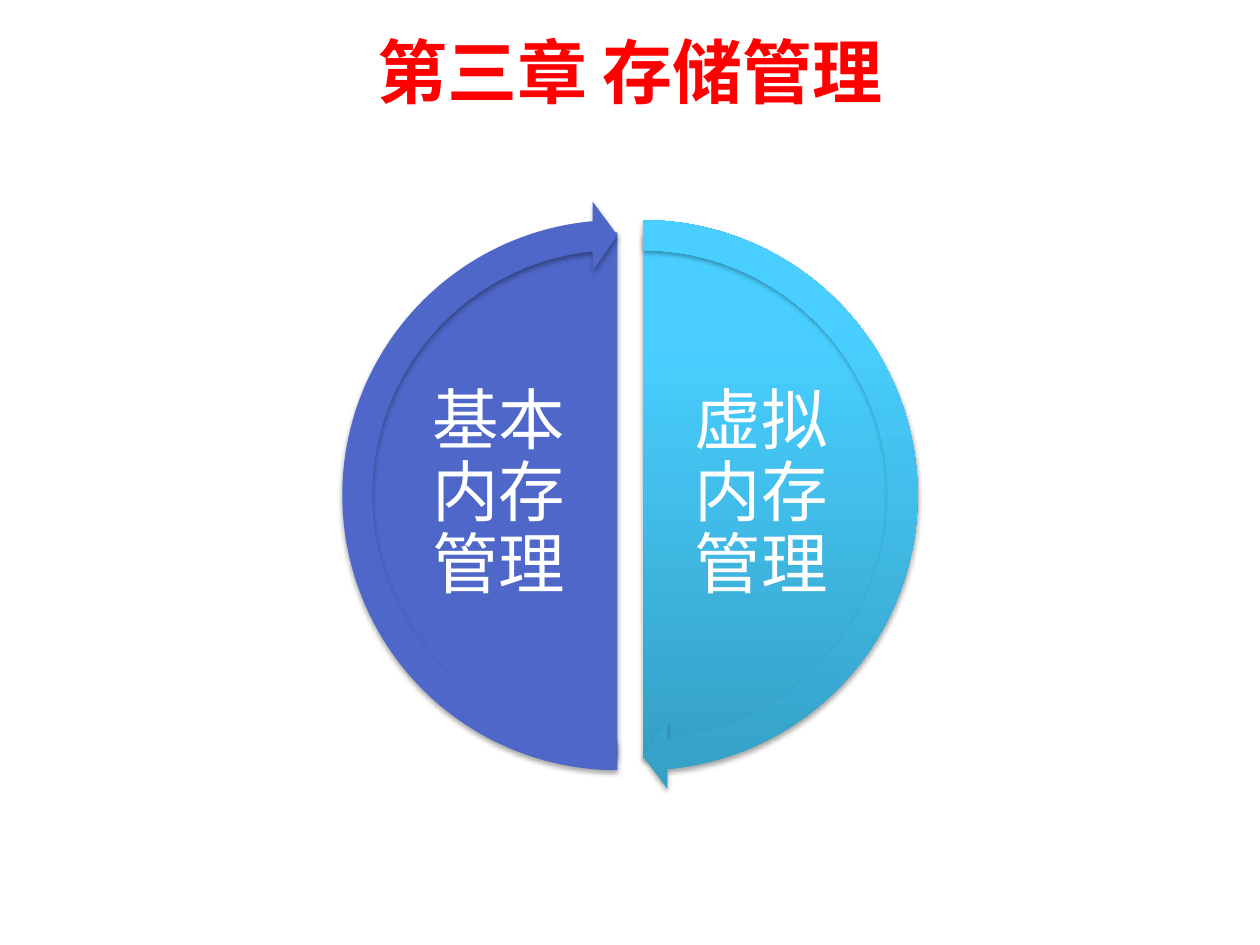
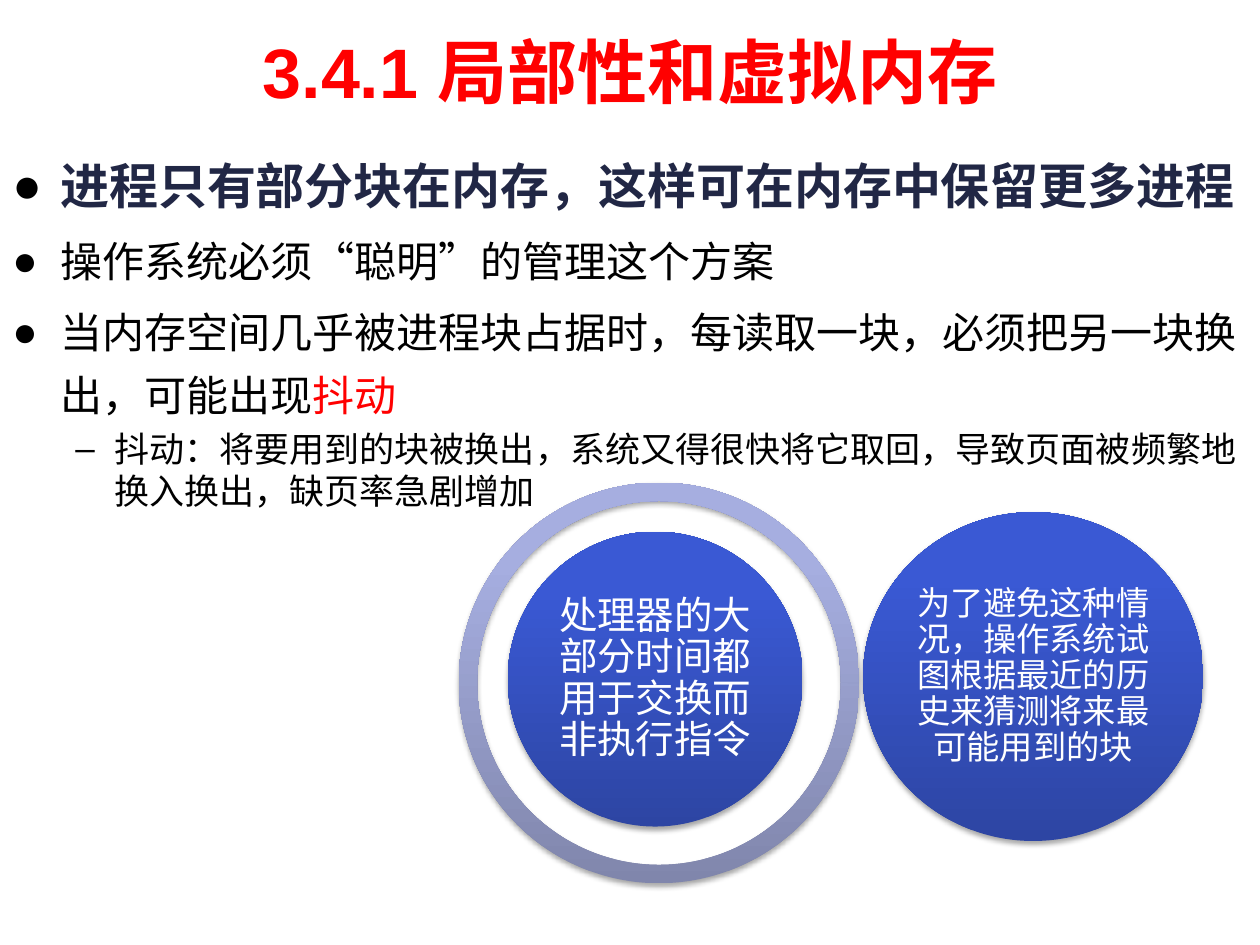
"""Build two slides on storage management: chapter overview and locality with virtual memory."""
from dataclasses import dataclass
from math import sqrt

from lxml.etree import SubElement
from pptx import Presentation
from pptx.dml.color import RGBColor
from pptx.enum.shapes import MSO_SHAPE
from pptx.enum.text import MSO_ANCHOR, PP_ALIGN
from pptx.oxml.ns import qn
from pptx.util import Inches, Pt


@dataclass(frozen=True)
class Theme:
    latin: str = "Arial"
    body: str = "Calibri"
    chinese: str = "Noto Sans CJK SC"
    title: str = "FF0000"
    accent: str = "FF0000"
    lead: str = "212745"
    text: str = "000000"
    inverse: str = "FFFFFF"
    indigo: tuple = ("4E67C8",)
    sky: tuple = ("35A0C6", "48CFFF", "49CFFF")
    royal: tuple = ("2D45A3", "3A59D4", "3758D7")
    lavender: tuple = ("8086AC", "A6AEE0", "A6AEE2")
    stops: tuple = (0, 80, 100)
    title_size: int = 40
    half_size: int = 38
    lead_size: int = 28
    point_size: int = 24
    detail_size: int = 20


THEME = Theme()

CHAPTER_TITLE = "第三章 存储管理"
CYCLE_CENTRE = (5, 3.93)
CYCLE_HALVES = [
    ("虚拟内存管理", 1, THEME.sky, (162, 54), 50.725),
    ("基本内存管理", -1, THEME.indigo, (54, 162), 158.725),
]

SECTION_TITLE = "3.4.1 局部性和虚拟内存"
POINTS = [
    (0, THEME.lead_size, THEME.body, THEME.lead, True,
     [("进程只有部分块在内存，这样可在内存中保留更多进程", None)]),
    (0, THEME.point_size, THEME.latin, THEME.text, False,
     [("操作系统必须“聪明”的管理这个方案", None)]),
    (0, THEME.point_size, THEME.latin, THEME.text, False,
     [("当内存空间几乎被进程块占据时，每读取一块，必须把另一块换出，可能出现", None),
      ("抖动", THEME.accent)]),
    (1, THEME.detail_size, THEME.chinese, THEME.text, False,
     [("抖动：将要用到的块被换出，系统又得很快将它取回，导致页面被频繁地换入换出，缺页率急剧增加", None)]),
]
LEVELS = [
    {"bullet": "●", "left": 0.38, "hang": 0.38, "spacing": 1.25},
    {"bullet": "–", "left": 0.81, "hang": 0.31, "spacing": 1.0},
]
RING = ((5.23, 5.42), (3.18, 3.18), (0.066, 215.934, 0.046))
DISCS = [
    ("处理器的大部分时间都用于交换而非执行指令", (5.2, 5.39), (2.34, 2.34), 22),
    ("为了避免这种情况，操作系统试图根据最近的历史来猜测将来最可能用到的块", (8.2, 5.37), (2.7, 2.61), 19),
]


def centred(centre, size):
    (x, y), (width, height) = centre, size
    return [Inches(v) for v in (x - width / 2, y - height / 2, width, height)]


def style(paragraph, size, face, colour, bold=False):
    font = paragraph.font
    font.size, font.name, font.bold = Pt(size), face, bold
    font.color.rgb = RGBColor.from_string(colour)
    defaults = paragraph._p.pPr.find(qn("a:defRPr"))
    SubElement(defaults, qn("a:ea"), typeface=THEME.chinese)


def add_label(slide, box, text, size, face, colour, bold=False, inset=0.05, spacing=1.0):
    frame = slide.shapes.add_textbox(*box).text_frame
    frame.word_wrap = True
    frame.vertical_anchor = MSO_ANCHOR.MIDDLE
    frame.margin_left = frame.margin_right = Inches(inset)
    frame.margin_top = frame.margin_bottom = Inches(inset)
    paragraph = frame.paragraphs[0]
    paragraph.text = text
    paragraph.alignment = PP_ALIGN.CENTER
    paragraph.line_spacing = spacing
    style(paragraph, size, face, colour, bold)


def add_title(slide, text):
    box = [Inches(v) for v in (0.5, 0.05, 9, 1.02)]
    add_label(slide, box, text, THEME.title_size, THEME.latin, THEME.title, bold=True)


def paint(shape, colours):
    if len(colours) == 1:
        shape.fill.solid()
        shape.fill.fore_color.rgb = RGBColor.from_string(colours[0])
        return
    shape.fill.gradient()
    shape.fill.gradient_angle = 90
    stops = shape._element.spPr.find(qn("a:gradFill")).find(qn("a:gsLst"))
    for stop in list(stops):
        stops.remove(stop)
    for position, colour in zip(THEME.stops, colours):
        stop = SubElement(stops, qn("a:gs"), pos=str(position * 1000))
        SubElement(stop, qn("a:srgbClr"), val=colour)


def add_figure(slide, preset, centre, size, colours, adjustments=()):
    shape = slide.shapes.add_shape(preset, *centred(centre, size))
    for index, value in enumerate(adjustments):
        shape.adjustments[index] = value
    paint(shape, colours)
    shape.line.fill.background()
    shape.shadow.inherit = False
    effects = shape._element.spPr.find(qn("a:effectLst"))
    shadow = SubElement(effects, qn("a:outerShdw"), blurRad=str(Pt(3.1)), dist=str(Pt(1.8)),
                        dir="5400000", rotWithShape="0")
    tint = SubElement(shadow, qn("a:srgbClr"), val="000000")
    SubElement(tint, qn("a:alpha"), val="35000")


def add_points(slide):
    frame = slide.shapes.add_textbox(*[Inches(v) for v in (0, 1.07, 10, 3.12)]).text_frame
    frame.word_wrap = True
    for index, (level, size, face, colour, bold, runs) in enumerate(POINTS):
        paragraph = frame.add_paragraph() if index else frame.paragraphs[0]
        look = LEVELS[level]
        paragraph.level = level
        properties = paragraph._p.get_or_add_pPr()
        properties.set("marL", str(Inches(look["left"])))
        properties.set("indent", str(-Inches(look["hang"])))
        bullet_colour = SubElement(properties, qn("a:buClr"))
        SubElement(bullet_colour, qn("a:srgbClr"), val=THEME.text)
        SubElement(properties, qn("a:buFont"), typeface=THEME.latin)
        SubElement(properties, qn("a:buChar"), char=look["bullet"])
        paragraph.line_spacing = look["spacing"]
        paragraph.space_before = Pt(size * 0.2)
        style(paragraph, size, face, colour, bold)
        for words, highlight in runs:
            run = paragraph.add_run()
            run.text = words
            if highlight:
                run.font.color.rgb = RGBColor.from_string(highlight)


def build_chapter(slide):
    add_title(slide, CHAPTER_TITLE)
    x, y = CYCLE_CENTRE
    for name, side, colours, angles, _ in CYCLE_HALVES:
        add_figure(slide, MSO_SHAPE.PIE, (x + side * 0.1, y), (4.17, 4.17), colours, angles)
        add_label(slide, centred((x + side * 1.04, y), (1.49, 1.98)), name,
                  THEME.half_size, THEME.body, THEME.inverse, spacing=0.9)
    for _, side, colours, (_, start), end in CYCLE_HALVES:
        start = 162 if side > 0 else 54
        add_figure(slide, MSO_SHAPE.CIRCULAR_ARROW, (x + side * 0.1, y), (4.68, 4.68),
                   colours, (0.051, 3.275, end, start, 0.059))


def build_section(slide):
    add_title(slide, SECTION_TITLE)
    add_points(slide)
    centre, size, adjustments = RING
    add_figure(slide, MSO_SHAPE.BLOCK_ARC, centre, size, THEME.lavender, adjustments)
    for words, centre, size, points in DISCS:
        add_figure(slide, MSO_SHAPE.OVAL, centre, size, THEME.royal)
        inner = [side / sqrt(2) for side in size]
        add_label(slide, centred(centre, inner), words, points, THEME.body,
                  THEME.inverse, inset=0.03, spacing=0.9)


def main():
    deck = Presentation()
    deck.slide_width, deck.slide_height = Inches(10), Inches(7.5)
    for build in (build_chapter, build_section):
        build(deck.slides.add_slide(deck.slide_layouts[6]))
    deck.save("out.pptx")


if __name__ == "__main__":
    main()
